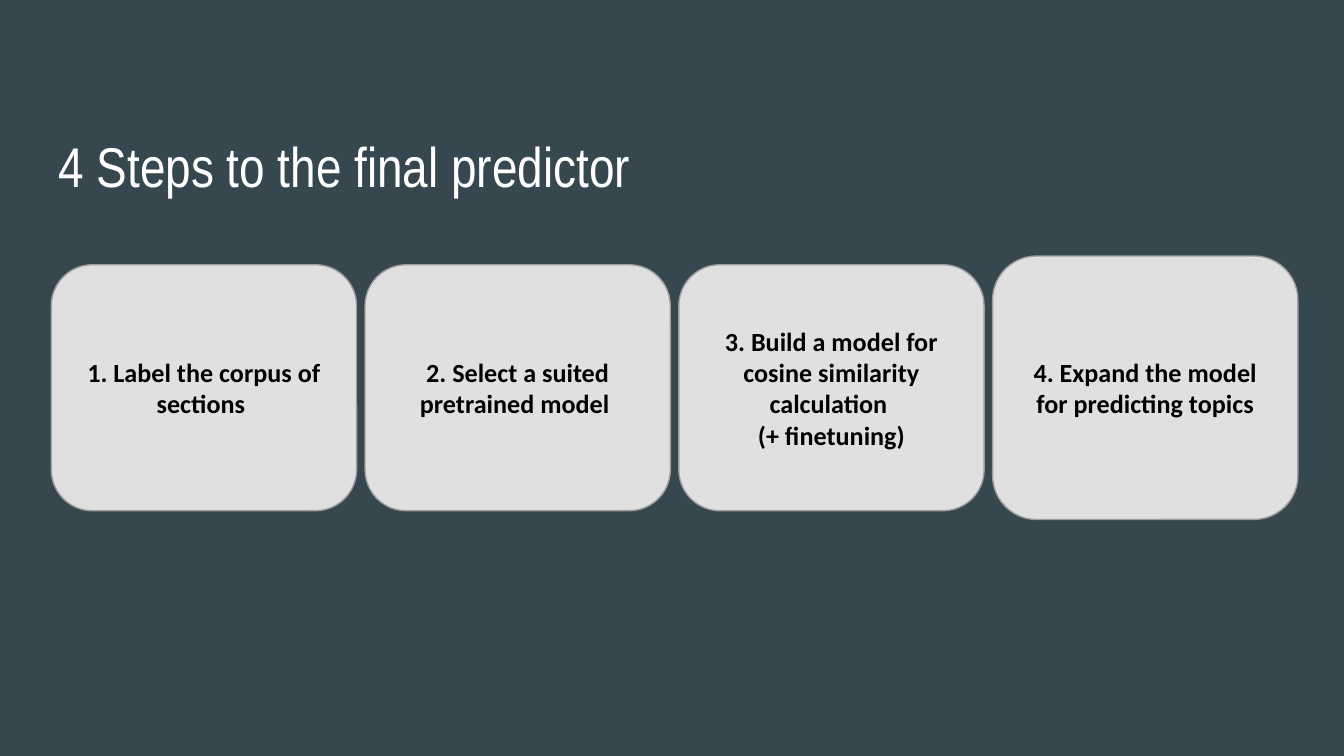
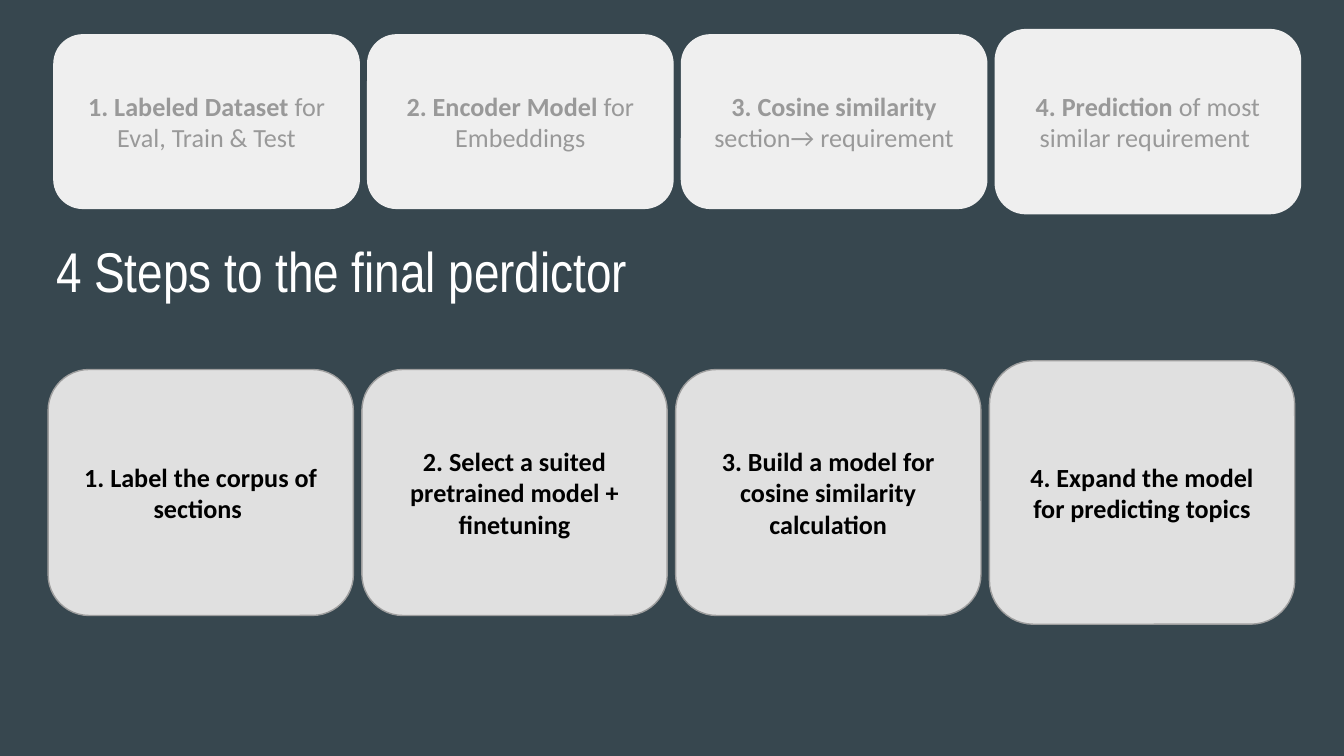
from pptx import Presentation
from pptx.dml.color import RGBColor
from pptx.enum.shapes import MSO_SHAPE
from pptx.enum.text import MSO_ANCHOR, PP_ALIGN
from pptx.util import Cm, Pt

# Colours
SLATE = RGBColor(0x37, 0x47, 0x4F)
WHITE = RGBColor(0xFF, 0xFF, 0xFF)
BLACK = RGBColor(0x00, 0x00, 0x00)
SILVER = RGBColor(0xE0, 0xE0, 0xE0)
EDGE = RGBColor(0x9E, 0x9E, 0x9E)
PALE = RGBColor(0xEF, 0xEF, 0xEF)
FADED = RGBColor(0x99, 0x99, 0x99)

# Card grid in cm: width and distance from one card to the next
WIDTH, PITCH = 5.77, 5.93

# Row styles: fill, line, text colour, height, height of the last card
STRONG = (SILVER, EDGE, BLACK, 4.65, 4.98)
FAINT = (PALE, PALE, FADED, 3.28, 3.48)

# Each card is a list of paragraphs, each paragraph a list of (text, bold) runs
LABEL = [[("1. Label the corpus of sections ", True)]]
EXPAND = [[("4. Expand the model for predicting topics", True)]]

STEPS = [
    LABEL,
    [[("2. Select a suited pretrained model ", True)]],
    [[("3. Build a model for cosine similarity calculation ", True)],
     [("(+ finetuning)", True)]],
    EXPAND,
]
TUNED = [
    LABEL,
    [[("2. Select a suited pretrained model + finetuning", True)]],
    [[("3. Build a model for cosine similarity calculation", True)]],
    EXPAND,
]
RESULTS = [
    [[("1. Labeled Dataset ", True), ("for Eval, Train & Test", False)]],
    [[("2. Encoder Model", True), (" for Embeddings", False)]],
    [[("3. Cosine similarity", True)], [("section→ requirement", False)]],
    [[("4. Prediction ", True), ("of most similar requirement ", False)]],
]

# Slides: title, its left and top, then rows of (left, middle, style, cards)
SLIDES = [
    ("4 Steps to the final predictor", 0.86, 2.24,
     [(0.97, 7.33, STRONG, STEPS)]),
    ("4 Steps to the final perdictor", 0.81, 4.22,
     [(1.02, 2.3, FAINT, RESULTS), (0.91, 9.31, STRONG, TUNED)]),
]


def inset(frame):
    frame.word_wrap = True
    frame.margin_left = frame.margin_right = Cm(0.25)
    frame.margin_top = frame.margin_bottom = Cm(0.25)


def add_run(para, text, font, size, color, bold=False):
    run = para.add_run()
    run.text = text
    run.font.name = font
    run.font.size = Pt(size)
    run.font.bold = bold
    run.font.color.rgb = color


prs = Presentation()
prs.slide_width = Cm(25.4)
prs.slide_height = Cm(14.29)

for title, left, top, rows in SLIDES:
    # Background and title
    slide = prs.slides.add_slide(prs.slide_layouts[6])
    slide.background.fill.solid()
    slide.background.fill.fore_color.rgb = SLATE
    box = slide.shapes.add_textbox(Cm(left), Cm(top), Cm(23.67), Cm(1.6))
    inset(box.text_frame)
    add_run(box.text_frame.paragraphs[0], title, "Arial Narrow", 30, WHITE)

    # Rows of cards, all centred on the middle of their row
    for start, middle, style, cards in rows:
        fill, line, color, height, tall = style
        for i, paras in enumerate(cards):
            high = tall if i == len(cards) - 1 else height
            card = slide.shapes.add_shape(
                MSO_SHAPE.ROUNDED_RECTANGLE, Cm(start + i * PITCH),
                Cm(middle - high / 2), Cm(WIDTH), Cm(high))
            card.shadow.inherit = False
            card.fill.solid()
            card.fill.fore_color.rgb = fill
            card.line.color.rgb = line
            card.line.width = Pt(0.75)

            # Card text
            frame = card.text_frame
            inset(frame)
            frame.vertical_anchor = MSO_ANCHOR.MIDDLE
            for n, runs in enumerate(paras):
                para = frame.add_paragraph() if n else frame.paragraphs[0]
                para.alignment = PP_ALIGN.CENTER
                for text, bold in runs:
                    add_run(para, text, "Calibri", 14, color, bold)

prs.save("out.pptx")
